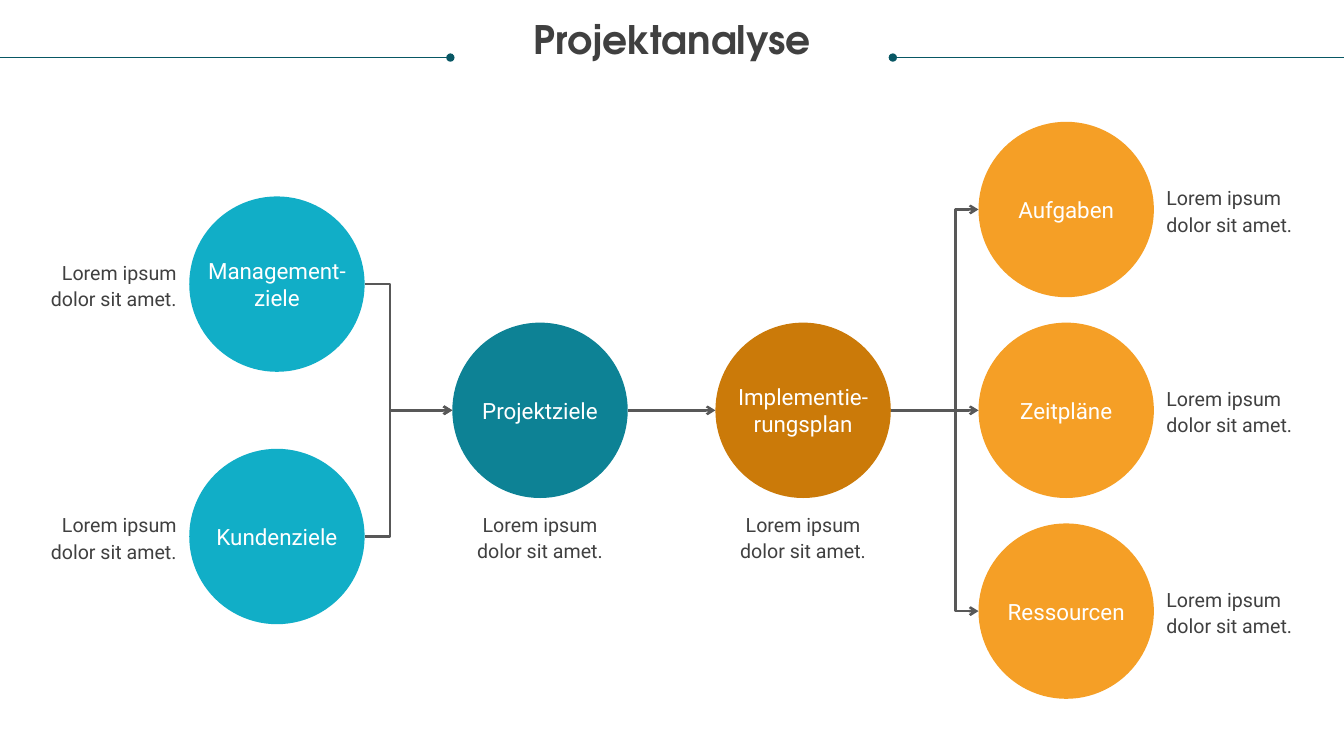
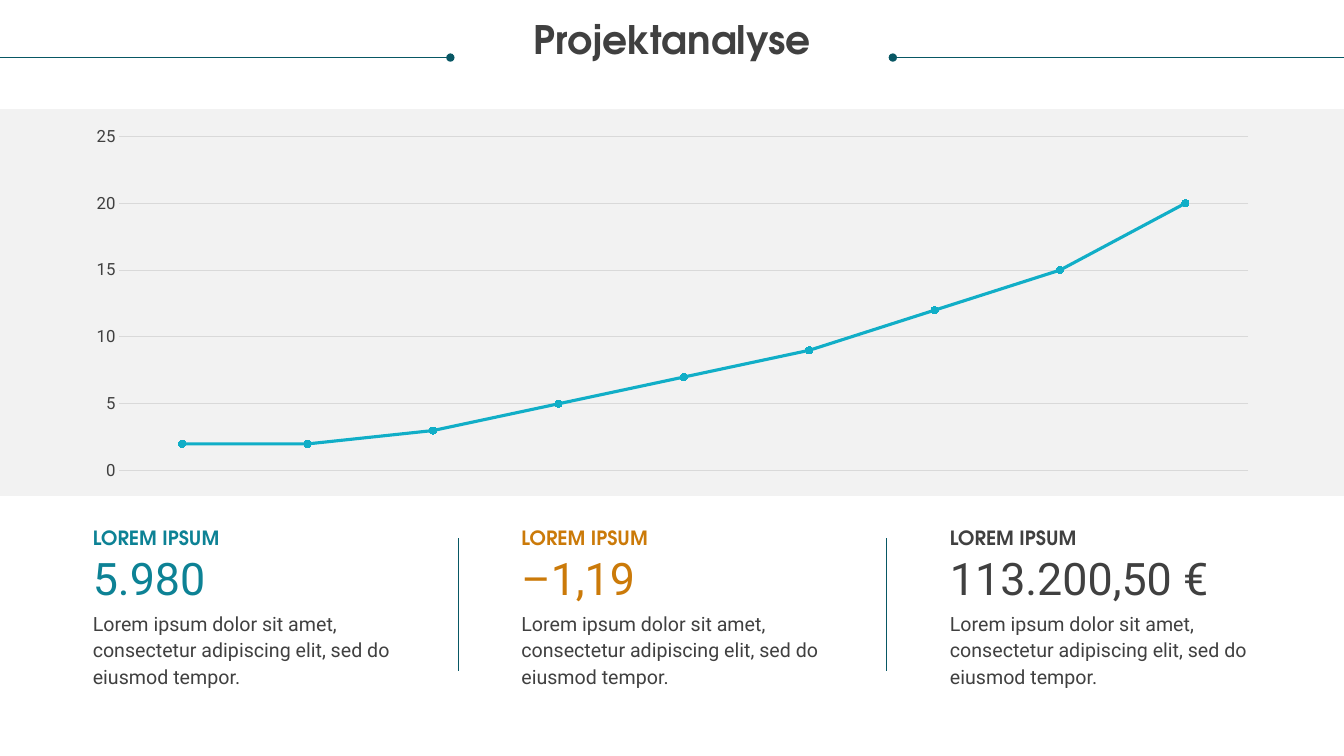
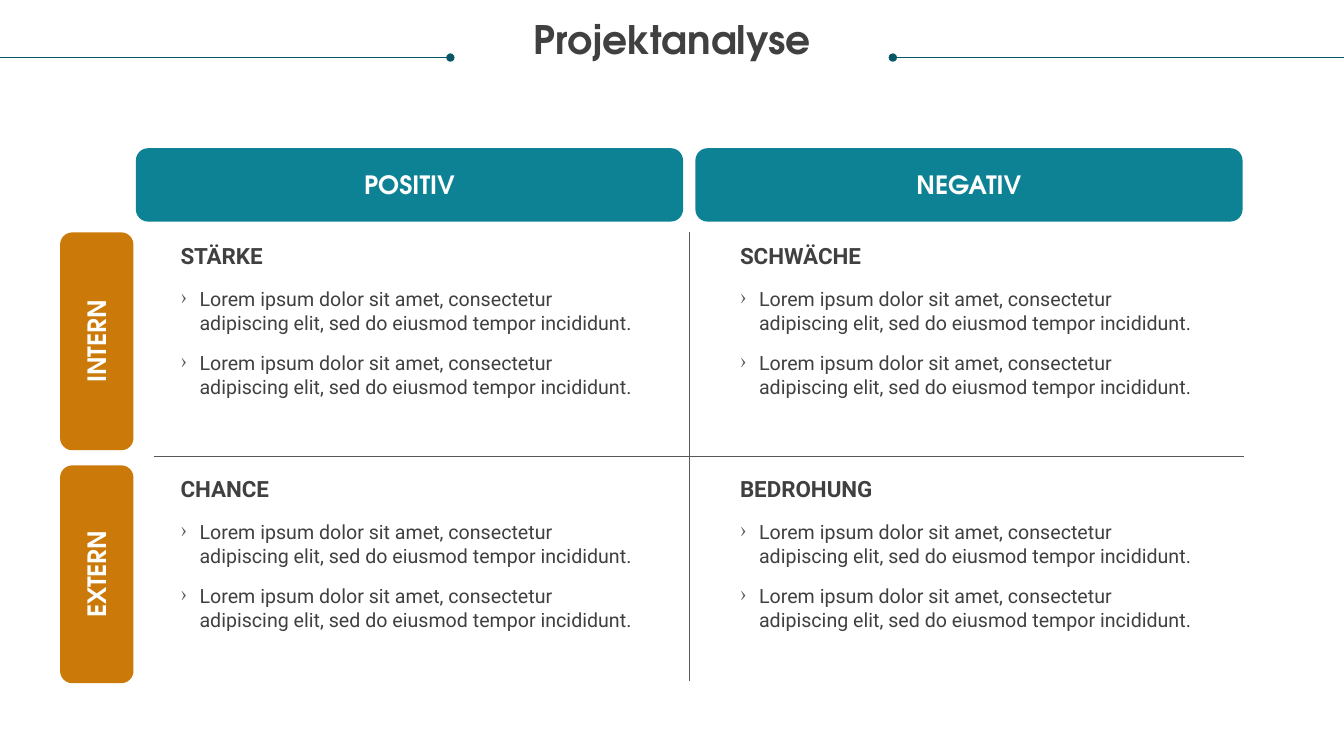
from lxml import etree
from pptx import Presentation
from pptx.chart.data import CategoryChartData
from pptx.dml.color import RGBColor
from pptx.enum.chart import XL_CHART_TYPE, XL_MARKER_STYLE, XL_TICK_MARK
from pptx.enum.shapes import MSO_CONNECTOR, MSO_SHAPE
from pptx.enum.text import MSO_ANCHOR, PP_ALIGN
from pptx.oxml.ns import qn
from pptx.util import Cm, Pt

LEFT, CENTER, RIGHT = PP_ALIGN.LEFT, PP_ALIGN.CENTER, PP_ALIGN.RIGHT
TOP, MIDDLE = MSO_ANCHOR.TOP, MSO_ANCHOR.MIDDLE
STRAIGHT, ELBOW = MSO_CONNECTOR.STRAIGHT, MSO_CONNECTOR.ELBOW
OVAL, RECTANGLE = MSO_SHAPE.OVAL, MSO_SHAPE.RECTANGLE
ROUNDED = MSO_SHAPE.ROUNDED_RECTANGLE
LINE_MARKERS = XL_CHART_TYPE.LINE_MARKERS
CIRCLE_MARKER = XL_MARKER_STYLE.CIRCLE
NO_TICK = XL_TICK_MARK.NONE

# Shared look
WIDTH, HEIGHT = 33.87, 19.05
BODY, DISPLAY = "Roboto", "TeX Gyre Adventor"
TEXT, GREY, WHITE, PALE, GRID = "404040", "585858", "FFFFFF", "F2F2F2", "D9D9D9"
CYAN, TEAL, PETROL = "11AEC7", "0D8295", "085764"
ORANGE, BROWN = "F59F26", "CB7A09"
LOREM = "Lorem ipsum dolor sit amet"


def color(value):
    return RGBColor.from_string(value)


def style_paragraph(para, size, ink=TEXT, font=BODY, bold=False, align=LEFT,
                    spacing=None):
    para.alignment = align
    if spacing:
        para.line_spacing = spacing
    for span in para.runs:
        span.font.size = Pt(size)
        span.font.name = font
        span.font.bold = bold
        span.font.color.rgb = color(ink)


def add_text(page, text, left, top, width, height, size, anchor=TOP, **style):
    box = page.shapes.add_textbox(Cm(left), Cm(top), Cm(width), Cm(height))
    frame = box.text_frame
    frame.word_wrap = True
    frame.vertical_anchor = anchor
    frame.margin_left = frame.margin_right = 0
    frame.margin_top = frame.margin_bottom = 0
    frame.text = text
    for para in frame.paragraphs:
        style_paragraph(para, size, **style)
    return box


def add_centered_text(page, text, x, y, width, height, size, **style):
    add_text(page, text, x - width / 2, y - height / 2, width, height, size,
             anchor=MIDDLE, **style)


def add_block(page, kind, left, top, width, height, fill):
    block = page.shapes.add_shape(kind, Cm(left), Cm(top), Cm(width), Cm(height))
    block.shadow.inherit = False
    block.fill.solid()
    block.fill.fore_color.rgb = color(fill)
    block.line.fill.background()
    return block


def add_label_bar(page, text, x, y, width, height, fill, rotation=0):
    bar = add_block(page, ROUNDED, x - width / 2, y - height / 2, width, height, fill)
    bar.rotation = rotation
    bar.text_frame.text = text
    bar.text_frame.vertical_anchor = MIDDLE
    style_paragraph(bar.text_frame.paragraphs[0], 18, WHITE, DISPLAY, True, CENTER)


def add_line(page, begin, end, ink, weight, tip=None, bend=None):
    """Draw a line; bend is the percentage at which an elbow turns."""
    kind = STRAIGHT if bend is None else ELBOW
    line = page.shapes.add_connector(kind, *map(Cm, begin + end))
    line.line.color.rgb = color(ink)
    line.line.width = Pt(weight)
    properties = line.element.spPr
    if tip:
        etree.SubElement(properties.find(qn("a:ln")), qn("a:tailEnd"), type=tip)
    if bend is not None:
        guides = properties.find(qn("a:prstGeom")).find(qn("a:avLst"))
        etree.SubElement(guides, qn("a:gd"), name="adj1", fmla=f"val {bend * 1000}")
    etree.SubElement(properties, qn("a:effectLst"))


def add_bullets(page, items, left, top, width, height):
    box = add_text(page, "\n".join(items), left, top, width, height, 14)
    for para in box.text_frame.paragraphs:
        para.space_before = Pt(12)
        properties = para._p.get_or_add_pPr()
        properties.set("marL", str(Cm(0.48)))
        properties.set("indent", str(-Cm(0.48)))
        bullet_color = etree.SubElement(properties, qn("a:buClr"))
        etree.SubElement(bullet_color, qn("a:srgbClr"), val=GREY)
        etree.SubElement(properties, qn("a:buChar"), char="›")


def add_page(deck):
    """Add a blank page with the shared title and its two dotted rules."""
    page = deck.slides.add_slide(deck.slide_layouts[6])
    for edge, inner in ((0, 11.35), (WIDTH, 22.5)):
        add_line(page, (edge, 1.45), (inner, 1.45), PETROL, 0.5, tip="oval")
    add_text(page, "Projektanalyse", 0.64, 0.53, 32.59, 2.16, 28,
             font=DISPLAY, bold=True, align=CENTER, spacing=0.9)
    return page


def build_flow(deck):
    page = add_page(deck)
    diameter, first_x, step, axis = 4.42, 6.98, 6.63, 10.34
    captions = {LEFT: (4.39, 0), RIGHT: (-4.39, 0), CENTER: (0, 3.17)}
    # Label, column, distance from the axis, fill, caption alignment
    nodes = [
        ("Management-ziele", 0, -3.18, CYAN, RIGHT),
        ("Kundenziele", 0, 3.18, CYAN, RIGHT),
        ("Projektziele", 1, 0, TEAL, CENTER),
        ("Implementie-rungsplan", 2, 0, BROWN, CENTER),
        ("Aufgaben", 3, -5.06, ORANGE, LEFT),
        ("Zeitpläne", 3, 0, ORANGE, LEFT),
        ("Ressourcen", 3, 5.06, ORANGE, LEFT),
    ]
    centers = []
    for label, column, offset, fill, align in nodes:
        x, y = first_x + column * step, axis + offset
        centers.append((x, y))
        add_block(page, OVAL, x - diameter / 2, y - diameter / 2,
                  diameter, diameter, fill)
        add_centered_text(page, label, x, y, 3.81, 1.37, 16,
                          ink=WHITE, align=CENTER)
        shift_x, shift_y = captions[align]
        add_centered_text(page, LOREM + ".", x + shift_x, y + shift_y, 3.73, 1.35,
                          14, align=align, spacing=Pt(19))

    # Arrows: source node, target node, bend
    links = [(0, 2, 29), (1, 2, 29), (2, 3, None),
             (3, 4, 74), (3, 5, None), (3, 6, 74)]
    for source, target, bend in links:
        begin_x, begin_y = centers[source]
        end_x, end_y = centers[target]
        add_line(page, (begin_x + diameter / 2, begin_y),
                 (end_x - diameter / 2, end_y), GREY, 1.75, "arrow", bend)


def add_trend_chart(page, values):
    data = CategoryChartData()
    data.categories = [str(number) for number in range(1, len(values) + 1)]
    data.add_series("Series 1", values)
    chart = page.shapes.add_chart(LINE_MARKERS, Cm(1.83), Cm(3), Cm(30.23),
                                  Cm(9.3), data).chart
    chart.has_legend = False
    chart.has_title = False
    chart.font.name = BODY
    chart.font.size = Pt(12)
    chart.font.color.rgb = color(TEXT)
    chart.category_axis.visible = False

    axis = chart.value_axis
    axis.minimum_scale, axis.maximum_scale, axis.major_unit = 0, 25, 5
    axis.major_tick_mark = NO_TICK
    axis.format.line.fill.background()
    axis.major_gridlines.format.line.color.rgb = color(GRID)
    axis.major_gridlines.format.line.width = Pt(0.75)

    chart.plots[0].vary_by_categories = False
    series = chart.plots[0].series[0]
    series.smooth = False
    series.format.line.color.rgb = color(CYAN)
    series.format.line.width = Pt(2.25)
    series.marker.style = CIRCLE_MARKER
    series.marker.size = 5
    series.marker.format.fill.solid()
    series.marker.format.fill.fore_color.rgb = color(CYAN)
    series.marker.format.line.color.rgb = color(CYAN)


def build_figures(deck):
    page = add_page(deck)
    add_block(page, RECTANGLE, 0, 2.75, WIDTH, 9.75, PALE)
    add_trend_chart(page, (2, 2, 3, 5, 7, 9, 12, 15, 20))

    # Key figures, with a divider before every column but the first
    figures = [("5.980", TEAL), ("–1,19", BROWN), ("113.200,50 €", TEXT)]
    for index, (figure, ink) in enumerate(figures):
        left = 2.34 + index * 10.8
        if index:
            add_line(page, (left - 1.6, 13.56), (left - 1.6, 16.92), PETROL, 0.5)
        add_text(page, "LOREM IPSUM", left, 13.18, 7.62, 0.69, 14, ink=ink,
                 font=DISPLAY, bold=True, spacing=Pt(19))
        add_text(page, figure, left, 13.89, 7.62, 1.37, 32, ink=ink)
        add_text(page, LOREM + ", consectetur adipiscing elit, sed do eiusmod tempor.",
                 left, 15.34, 7.62, 2.03, 14, spacing=Pt(19))


def build_matrix(deck):
    page = add_page(deck)
    column_step, row_step = 14.1, 5.87
    columns = ("POSITIV", "NEGATIV")
    rows = [("INTERN", ("STÄRKE", "SCHWÄCHE")),
            ("EXTERN", ("CHANCE", "BEDROHUNG"))]
    sentence = LOREM + ", consectetur adipiscing elit, sed do eiusmod tempor incididunt."

    # Axis labels and cross
    for column, label in enumerate(columns):
        add_label_bar(page, label, 10.32 + column * column_step, 4.66,
                      13.79, 1.85, TEAL)
    for row, (label, _) in enumerate(rows):
        add_label_bar(page, label, 2.44, 8.6 + row * row_step,
                      5.49, 1.85, BROWN, rotation=270)
    add_line(page, (3.87, 11.51), (31.34, 11.51), GREY, 0.5)
    add_line(page, (17.37, 5.84), (17.37, 17.17), GREY, 0.5)

    # Quadrants
    for row, (_, headings) in enumerate(rows):
        for column, heading in enumerate(headings):
            left, top = 4.55 + column * column_step, 6.1 + row * row_step
            add_text(page, heading, left, top, 11.56, 0.69, 16, bold=True)
            add_bullets(page, [sentence] * 2, left, top + 1.14, 11.56, 2.82)


def main():
    deck = Presentation()
    deck.slide_width, deck.slide_height = Cm(WIDTH), Cm(HEIGHT)
    build_flow(deck)
    build_figures(deck)
    build_matrix(deck)
    deck.save("out.pptx")


if __name__ == "__main__":
    main()
